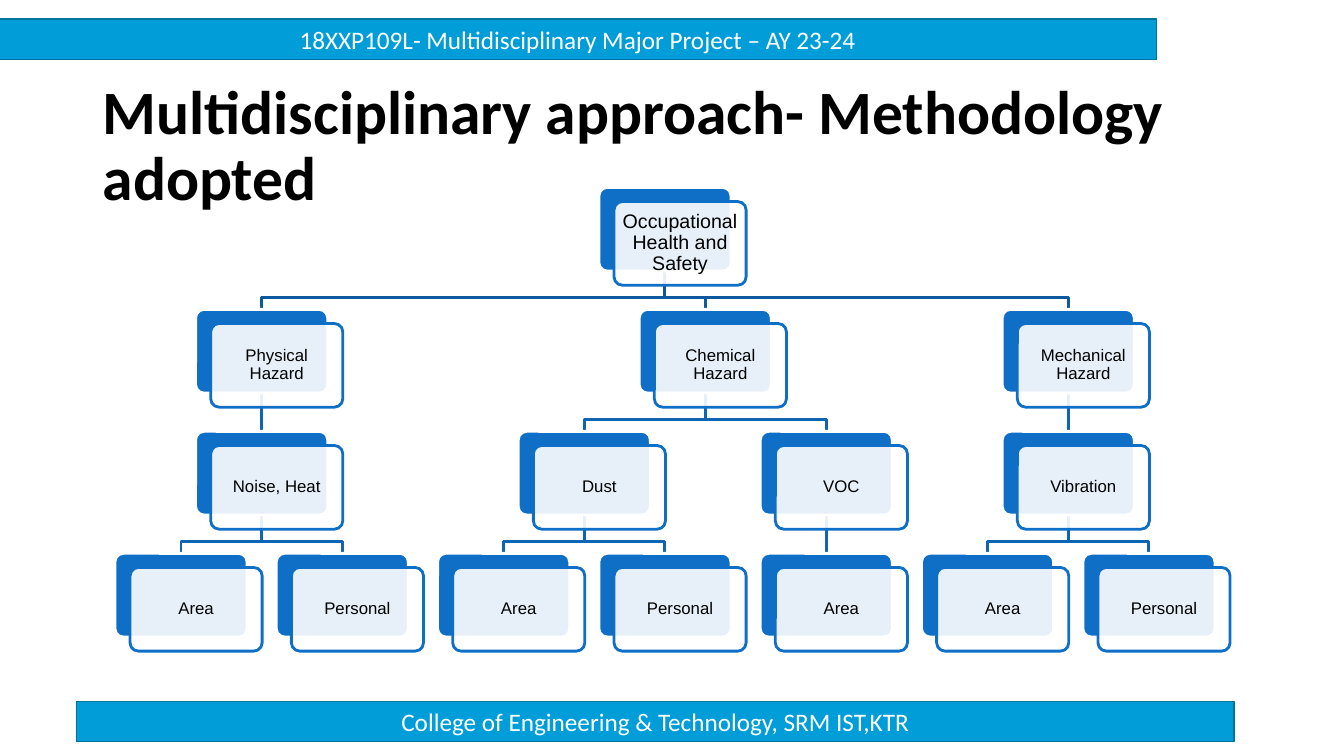
from dataclasses import dataclass
from typing import Iterator

from lxml.etree import SubElement
from pptx import Presentation
from pptx.dml.color import RGBColor
from pptx.enum.shapes import MSO_SHAPE
from pptx.enum.text import MSO_ANCHOR, PP_ALIGN
from pptx.oxml.ns import qn
from pptx.shapes.autoshape import Shape
from pptx.slide import Slide
from pptx.util import Inches, Pt

COLORS = {
    "bar": "009DD9",
    "bar_line": "00729E",
    "card": "0F6FC6",
    "root_link": "0C599F",
    "link": "0E65B4",
    "white": "FFFFFF",
    "black": "000000",
}

CARD_W, CARD_H = 1.31, 0.83
LEFT, TOP = 1.14, 1.86
COL_STEP, ROW_STEP = 1.6, 1.21
ELBOW = 1.09
FRONT_SHIFT = 0.15, 0.14


@dataclass
class Bar:
    text: str
    left: float
    top: float


@dataclass
class Node:
    text: str
    children: tuple["Node", ...] = ()
    col: float = 0
    row: int = 0

    @property
    def left(self) -> float:
        return LEFT + self.col * COL_STEP

    @property
    def top(self) -> float:
        return TOP + self.row * ROW_STEP


BARS = (
    Bar("College of Engineering & Technology, SRM IST,KTR", 0.76, 6.96),
    Bar("18XXP109L- Multidisciplinary Major Project – AY 23-24", -0.01, 0.19),
)

HAZARDS = Node("Occupational Health and Safety", (
    Node("Physical Hazard", (
        Node("Noise, Heat", (Node("Area"), Node("Personal"))),
    )),
    Node("Chemical Hazard", (
        Node("Dust", (Node("Area"), Node("Personal"))),
        Node("VOC", (Node("Area"),)),
    )),
    Node("Mechanical Hazard", (
        Node("Vibration", (Node("Area"), Node("Personal"))),
    )),
))


def rgb(name: str) -> RGBColor:
    return RGBColor.from_string(COLORS[name])


def place(node: Node, row: int = 0, next_col: int = 0) -> int:
    node.row = row
    if not node.children:
        node.col = next_col
        return next_col + 1
    for child in node.children:
        next_col = place(child, row + 1, next_col)
    node.col = (node.children[0].col + node.children[-1].col) / 2
    return next_col


def walk(node: Node) -> Iterator[Node]:
    yield node
    for child in node.children:
        yield from walk(child)


def write(sp: Shape, text: str, size: int, font: str, color: str,
          inset: tuple[float, float] = (0.1, 0.05), spacing: float = 1,
          align: PP_ALIGN = PP_ALIGN.CENTER, bold: bool = False) -> None:
    tf = sp.text_frame
    tf.word_wrap = True
    tf.vertical_anchor = MSO_ANCHOR.MIDDLE
    tf.margin_left = tf.margin_right = Inches(inset[0])
    tf.margin_top = tf.margin_bottom = Inches(inset[1])
    p = tf.paragraphs[0]
    p.alignment = align
    p.line_spacing = spacing
    r = p.add_run()
    r.text = text
    r.font.size = Pt(size)
    r.font.name = font
    r.font.bold = bold
    r.font.color.rgb = rgb(color)


def add_box(s: Slide, kind: MSO_SHAPE, left: float, top: float, width: float,
            height: float, fill: str, line: str, weight: float) -> Shape:
    sp = s.shapes.add_shape(kind, Inches(left), Inches(top), Inches(width), Inches(height))
    sp.shadow.inherit = False
    sp.fill.solid()
    sp.fill.fore_color.rgb = rgb(fill)
    sp.line.color.rgb = rgb(line)
    sp.line.width = Pt(weight)
    return sp


def add_bar(s: Slide, bar: Bar) -> None:
    sp = add_box(s, MSO_SHAPE.RECTANGLE, bar.left, bar.top, 11.48, 0.4, "bar", "bar_line", 1)
    write(sp, bar.text, 18, "Calibri", "white")


def add_title(s: Slide, text: str) -> None:
    sp = s.shapes.add_textbox(Inches(0.92), Inches(0.74), Inches(11.5), Inches(1.45))
    write(sp, text, 44, "Calibri", "black", spacing=0.9, align=PP_ALIGN.LEFT, bold=True)


def add_link(s: Slide, parent: Node, child: Node) -> None:
    x1, x2 = (Inches(n.left + CARD_W / 2) for n in (parent, child))
    y1, elbow, y2 = (Inches(parent.top + dy) for dy in (CARD_H, ELBOW, ROW_STEP))
    points = [(x1, y2)] if x1 == x2 else [(x1, elbow), (x2, elbow), (x2, y2)]
    path = s.shapes.build_freeform(x1, y1)
    path.add_line_segments(points, close=False)
    sp = path.convert_to_shape()
    sp.shadow.inherit = False
    sp.fill.background()
    sp.line.color.rgb = rgb("link" if parent.row else "root_link")
    sp.line.width = Pt(2)


def add_card(s: Slide, node: Node) -> None:
    dx, dy = FRONT_SHIFT
    back = add_box(s, MSO_SHAPE.ROUNDED_RECTANGLE, node.left, node.top,
                   CARD_W, CARD_H, "card", "white", 2)
    front = add_box(s, MSO_SHAPE.ROUNDED_RECTANGLE, node.left + dx, node.top + dy,
                    CARD_W, CARD_H, "white", "card", 2)
    for sp in (back, front):
        sp.adjustments[0] = 0.1
    clr = front.fill._xPr.find(qn("a:solidFill"))[0]
    SubElement(clr, qn("a:alpha"), val="90000")
    size, pad = (12, 0.05) if node.row else (14, 0.06)
    write(front, node.text, size, "Arial", "black", (pad, pad), 0.9)


def main() -> None:
    prs = Presentation()
    prs.slide_width, prs.slide_height = Inches(13.33), Inches(7.5)
    s = prs.slides.add_slide(prs.slide_layouts[6])
    for bar in BARS:
        add_bar(s, bar)
    add_title(s, "Multidisciplinary approach- Methodology adopted")
    place(HAZARDS)
    nodes = list(walk(HAZARDS))
    for node in reversed(nodes):
        for child in reversed(node.children):
            add_link(s, node, child)
    for node in nodes:
        add_card(s, node)
    prs.save("out.pptx")


if __name__ == "__main__":
    main()
